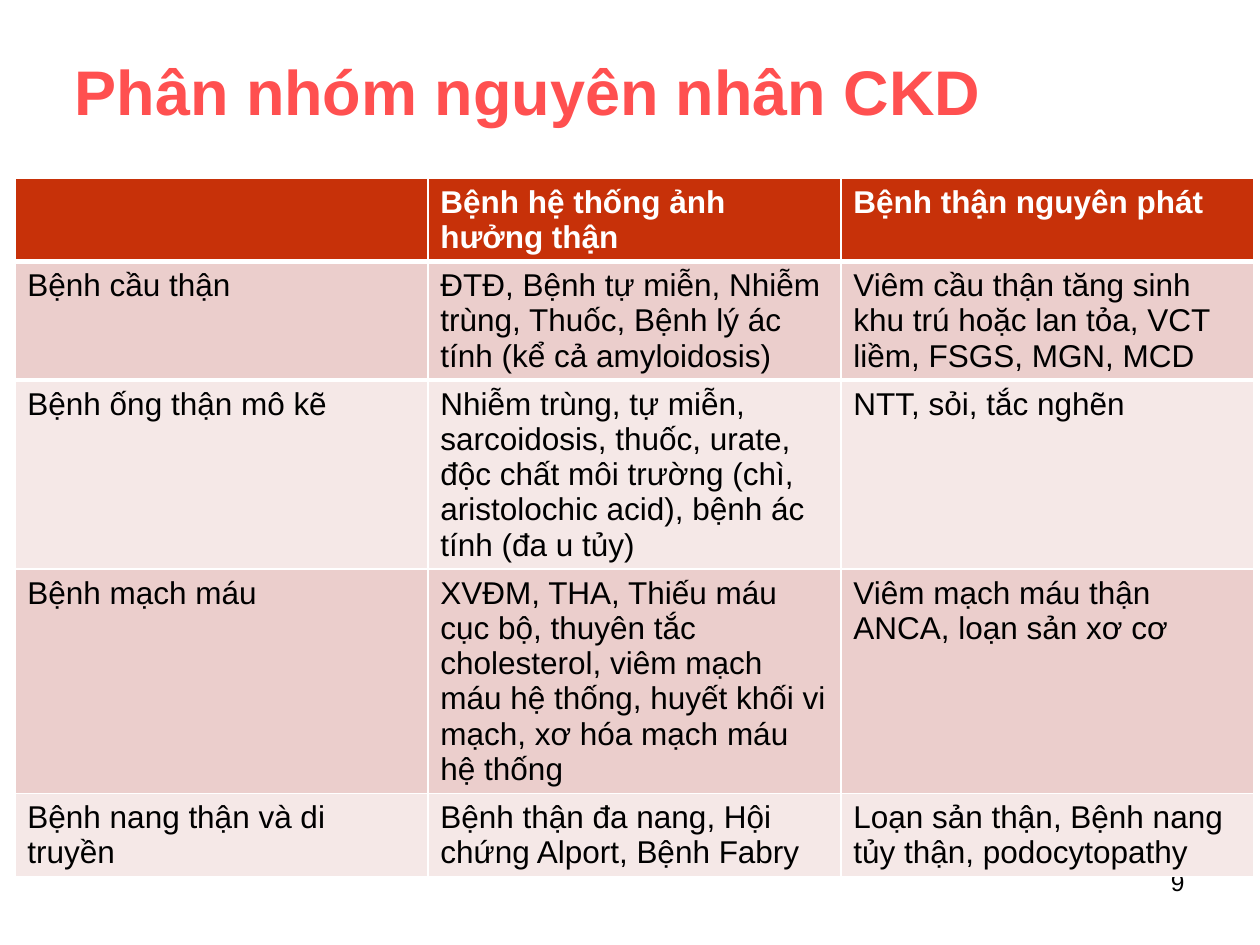
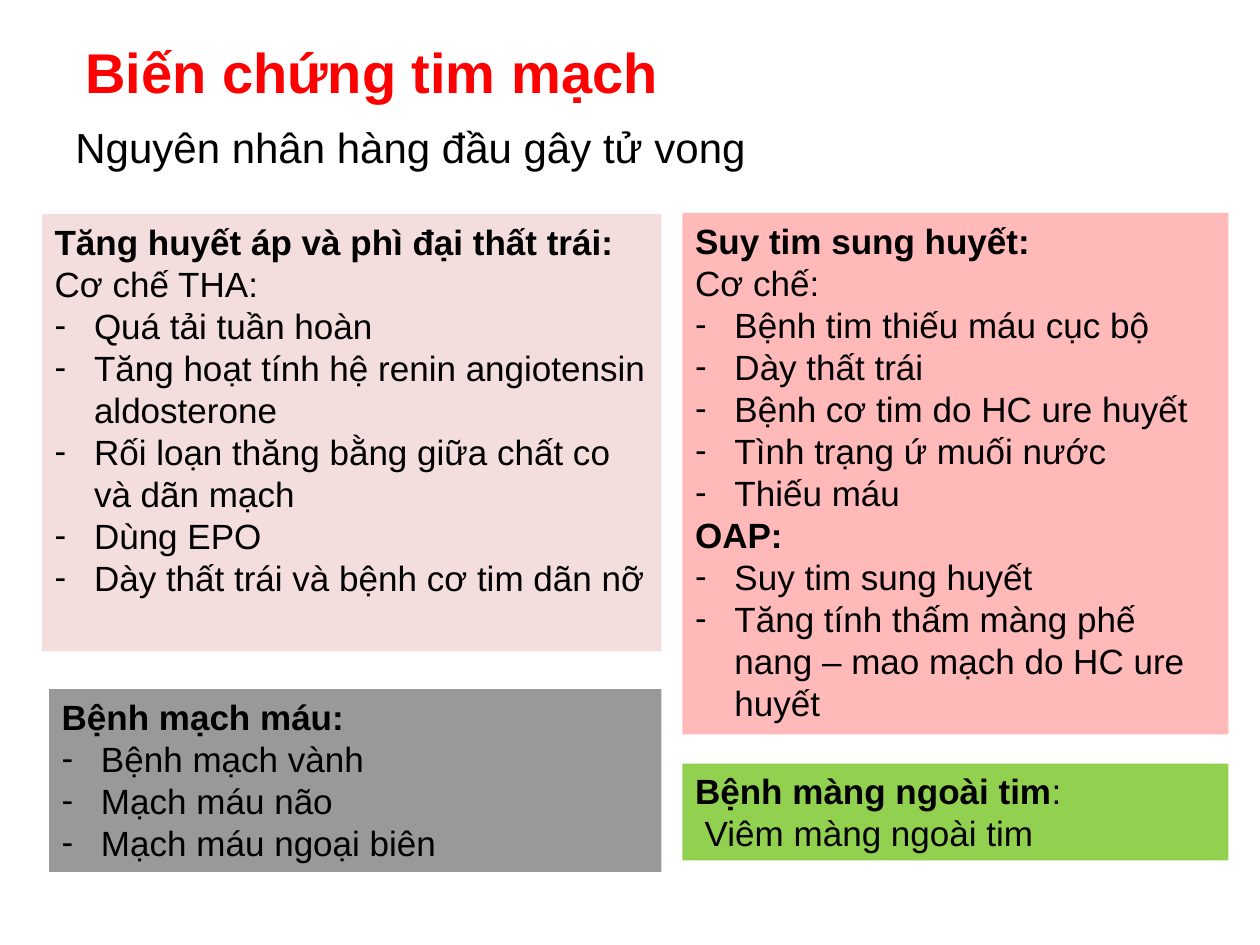
from pptx import Presentation
from pptx.dml.color import RGBColor
from pptx.enum.text import MSO_ANCHOR, MSO_AUTO_SIZE, PP_ALIGN
from pptx.oxml.ns import qn
from pptx.util import Pt
from lxml.etree import SubElement

FACE = "Arial"
BLACK, WHITE = "000000", "FFFFFF"
HEAD, BANDS = "C73109", ("EBCECC", "F5E8E7")

CAUSES = [
    ("", "Bệnh hệ thống ảnh hưởng thận", "Bệnh thận nguyên phát"),
    ("Bệnh cầu thận",
     "ĐTĐ, Bệnh tự miễn, Nhiễm trùng, Thuốc, Bệnh lý ác tính (kể cả amyloidosis)",
     "Viêm cầu thận tăng sinh khu trú hoặc lan tỏa, VCT liềm, FSGS, MGN, MCD"),
    ("Bệnh ống thận mô kẽ",
     "Nhiễm trùng, tự miễn, sarcoidosis, thuốc, urate, độc chất môi trường "
     "(chì, aristolochic acid), bệnh ác tính (đa u tủy)",
     "NTT, sỏi, tắc nghẽn"),
    ("Bệnh mạch máu",
     "XVĐM, THA, Thiếu máu cục bộ, thuyên tắc cholesterol, viêm mạch máu hệ thống, "
     "huyết khối vi mạch, xơ hóa mạch máu hệ thống",
     "Viêm mạch máu thận ANCA, loạn sản xơ cơ"),
    ("Bệnh nang thận và di truyền",
     "Bệnh thận đa nang, Hội chứng Alport, Bệnh Fabry",
     "Loạn sản thận, Bệnh nang tủy thận, podocytopathy"),
]
HEIGHTS = (47, 67.5, 108, 128, 47)

PANELS = [
    ("F3DEDD", (24, 122.4, 354, 249.8), [
        ("head", "Tăng huyết áp và phì đại thất trái:"),
        ("text", "Cơ chế THA:"),
        ("item", "Quá tải tuần hoàn"),
        ("item", "Tăng hoạt tính hệ renin angiotensin aldosterone"),
        ("item", "Rối loạn thăng bằng giữa chất co và dãn mạch"),
        ("item", "Dùng EPO"),
        ("item", "Dày thất trái và bệnh cơ tim dãn nỡ")]),
    ("FFB9B9", (390, 121.7, 312, 298), [
        ("head", "Suy tim sung huyết:"),
        ("text", "Cơ chế:"),
        ("item", "Bệnh tim thiếu máu cục bộ"),
        ("item", "Dày thất trái"),
        ("item", "Bệnh cơ tim do HC ure huyết"),
        ("item", "Tình trạng ứ muối nước"),
        ("item", "Thiếu máu"),
        ("head", "OAP:"),
        ("item", "Suy tim sung huyết"),
        ("item", "Tăng tính thấm màng phế nang – mao mạch do HC ure huyết")]),
    ("999999", (28, 393.8, 350, 104.4), [
        ("head", "Bệnh mạch máu:"),
        ("item", "Bệnh mạch vành"),
        ("item", "Mạch máu não"),
        ("item", "Mạch máu ngoại biên")]),
    ("92D050", (390, 436.3, 312, 55.4), [
        ("head", "Bệnh màng ngoài tim", ":"),
        ("inset", "Viêm màng ngoài tim")]),
]
INDENTS = {"head": (0, 0), "text": (0, 0), "item": (22.5, -22.5), "inset": (5.5, 0)}


def color(code):
    return RGBColor.from_string(code)


def style(font, size, code=BLACK, bold=False):
    font.name, font.size, font.bold = FACE, Pt(size), bold
    font.color.rgb = color(code)


def place(shape, box):
    shape.left, shape.top, shape.width, shape.height = map(Pt, box)


def fill(part, code):
    part.fill.solid()
    part.fill.fore_color.rgb = color(code)


def set_frame(shape, anchor=MSO_ANCHOR.TOP):
    frame = shape.text_frame
    frame.word_wrap = True
    frame.auto_size = MSO_AUTO_SIZE.NONE
    frame.vertical_anchor = anchor
    return frame


def write(shape, text, size, code=BLACK, bold=False, align=PP_ALIGN.LEFT,
          anchor=MSO_ANCHOR.TOP):
    para = set_frame(shape, anchor).paragraphs[0]
    para.text, para.alignment = text, align
    style(para.font, size, code, bold)


def label(slide, box, text, size, align=PP_ALIGN.LEFT):
    write(slide.shapes.add_textbox(*map(Pt, box)), text, size, align=align)


def fill_line(para, kind, texts):
    left, hang = INDENTS[kind]
    props = para._p.get_or_add_pPr()
    props.set("marL", str(Pt(left)))
    props.set("indent", str(Pt(hang)))
    if kind == "item":
        SubElement(props, qn("a:buChar")).set("char", "-")
    else:
        SubElement(props, qn("a:buNone"))
    para.space_before = Pt(0)
    para.alignment = PP_ALIGN.LEFT
    style(para.font, 20, bold=kind == "head")
    for spot, text in enumerate(texts):
        run = para.add_run()
        run.text = text
        if spot:
            run.font.bold = False


def fill_panel(shape, code, box, lines):
    place(shape, box)
    fill(shape, code)
    frame = set_frame(shape)
    for row, (kind, *texts) in enumerate(lines):
        para = frame.add_paragraph() if row else frame.paragraphs[0]
        fill_line(para, kind, texts)


def add_edge(cell, side, width):
    props = cell._tc.get_or_add_tcPr()
    edge = SubElement(props, qn(side))
    edge.set("w", str(Pt(width)))
    paint = SubElement(edge, qn("a:solidFill"))
    SubElement(paint, qn("a:srgbClr")).set("val", WHITE)
    props.insert(0, edge)


def add_causes(deck):
    slide = deck.slides.add_slide(deck.slide_layouts[5])
    title = slide.shapes.title
    place(title, (35.5, 28.8, 648, 46))
    write(title, "Phân nhóm nguyên nhân CKD", 36, "FF5050", True,
          anchor=MSO_ANCHOR.MIDDLE)
    label(slide, (516, 492, 168, 37.5), "9", 14, PP_ALIGN.RIGHT)
    grid = slide.shapes.add_table(
        len(CAUSES), len(CAUSES[0]), Pt(8.5), Pt(102), Pt(708), Pt(sum(HEIGHTS))).table
    for row, texts in enumerate(CAUSES):
        grid.rows[row].height = Pt(HEIGHTS[row])
        top = row == 0
        for col, text in enumerate(texts):
            cell = grid.cell(row, col)
            fill(cell, HEAD if top else BANDS[(row - 1) % 2])
            if top:
                add_edge(cell, "a:lnB", 3)
            elif row == 1:
                add_edge(cell, "a:lnT", 3)
            para = cell.text_frame.paragraphs[0]
            para.text = text
            style(para.font, 18, WHITE if top else BLACK, top)


def add_heart(deck):
    slide = deck.slides.add_slide(deck.slide_layouts[4])
    title, *bodies = slide.placeholders
    place(title, (41.5, 18, 582, 46))
    write(title, "Biến chứng tim mạch", 32, "FF0000", True)
    label(slide, (36, 66, 518, 36), "Nguyên nhân hàng đầu gây tử vong", 24)
    for body, panel in zip(bodies, PANELS):
        fill_panel(body, *panel)


def main():
    deck = Presentation()
    deck.slide_width, deck.slide_height = Pt(720), Pt(540)
    add_causes(deck)
    add_heart(deck)
    deck.save("out.pptx")


if __name__ == "__main__":
    main()
